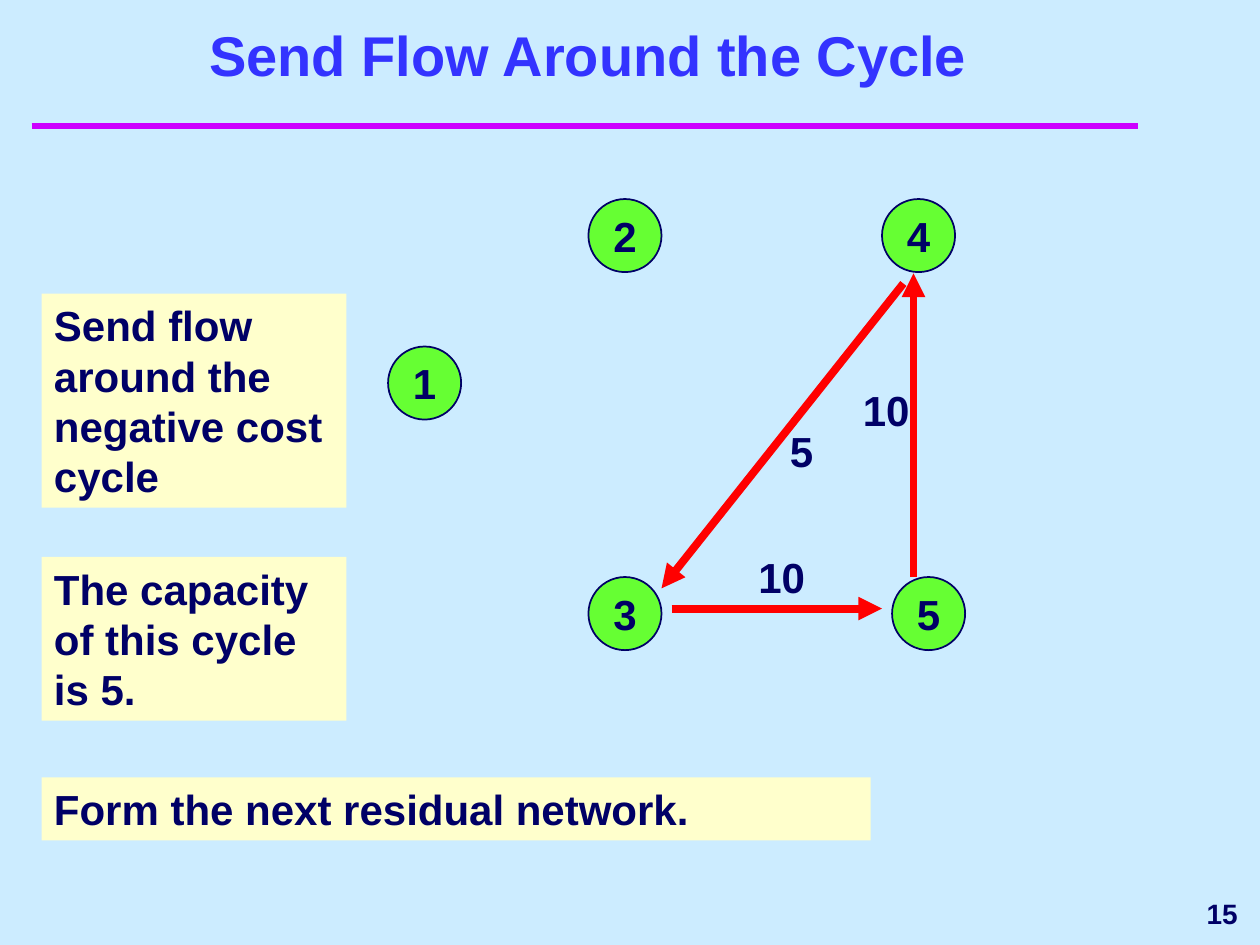
from lxml.etree import SubElement
from pptx import Presentation
from pptx.dml.color import RGBColor
from pptx.enum.shapes import MSO_CONNECTOR, MSO_SHAPE
from pptx.enum.text import MSO_ANCHOR, PP_ALIGN
from pptx.oxml.ns import qn
from pptx.util import Inches, Pt

NAVY, BLUE, PURPLE, RED = "000066", "3333FF", "CC00FF", "FF0000"
SKY, CREAM, GREEN = "CCECFF", "FFFFCC", "66FF33"
NODE_SIZE = 0.58
NOTE_LEFT = 0.33

TITLE = "Send Flow Around the Cycle"
PAGE_NUMBER = "15"
NOTES = [  # text, top, width, height
    ("Send flow around the negative cost cycle", 2.33, 2.42, 1.7),
    ("The capacity of this cycle is 5.", 4.42, 2.42, 1.3),
    ("Form the next residual network.", 6.17, 6.58, 0.5),
]
NODES = {  # left, top
    "1": (3.08, 2.75),
    "2": (4.67, 1.58),
    "4": (7, 1.58),
    "3": (4.67, 4.58),
    "5": (7.08, 4.58),
}
ARCS = [  # start, end, flow, label left, label top, label width
    ((5.33, 4.83), (7, 4.83), "10", 5.92, 4.33, 0.67),
    ((7.25, 4.58), (7.25, 2.17), "10", 6.75, 3, 1.17),
    ((7.17, 2.25), (5.25, 4.67), "5", 6.17, 3.33, 1.17),
]


def color(value):
    return RGBColor.from_string(value)


def write(box, text, size=24, ink=NAVY, align=PP_ALIGN.LEFT,
          anchor=MSO_ANCHOR.TOP, wrap=True):
    frame = box.text_frame
    frame.word_wrap = wrap
    frame.vertical_anchor = anchor
    frame.margin_left = frame.margin_right = Inches(0.1)
    frame.margin_top = frame.margin_bottom = Inches(0.05)
    para = frame.paragraphs[0]
    para.alignment = align
    span = para.add_run()
    span.text = text
    span.font.name = "Arial"
    span.font.size = Pt(size)
    span.font.bold = True
    span.font.color.rgb = color(ink)


def add_label(page, text, left, top, width, height=0.5, **style):
    box = page.shapes.add_textbox(*map(Inches, (left, top, width, height)))
    write(box, text, **style)


def add_filled(page, kind, area, fill, outline=None):
    shape = page.shapes.add_shape(kind, *map(Inches, area))
    shape.shadow.inherit = False
    shape.fill.solid()
    shape.fill.fore_color.rgb = color(fill)
    if outline:
        shape.line.color.rgb = color(outline)
        shape.line.width = Pt(1)
    else:
        shape.line.fill.background()
    return shape


def add_line(page, start, end, ink, width, arrow=False):
    line = page.shapes.add_connector(
        MSO_CONNECTOR.STRAIGHT, *map(Inches, (*start, *end)))
    line.line.color.rgb = color(ink)
    line.line.width = Pt(width)
    if arrow:
        SubElement(line.line._get_or_add_ln(), qn("a:tailEnd"), type="triangle")
    SubElement(line._element.spPr, qn("a:effectLst"))


def main():
    deck = Presentation()
    deck.slide_width, deck.slide_height = Inches(10), Inches(7.5)
    page = deck.slides.add_slide(deck.slide_layouts[5])
    page.background.fill.solid()
    page.background.fill.fore_color.rgb = color(SKY)

    title = page.shapes.title
    title.left, title.top, title.width, title.height = map(
        Inches, (0.42, 0.33, 8.5, 0.42))
    write(title, TITLE, size=32, ink=BLUE, align=PP_ALIGN.CENTER,
          anchor=MSO_ANCHOR.BOTTOM)
    add_line(page, (0.25, 1), (9.03, 1), PURPLE, 4)

    for text, top, width, height in NOTES:
        note = add_filled(page, MSO_SHAPE.RECTANGLE,
                          (NOTE_LEFT, top, width, height), CREAM)
        write(note, text)

    for name, (left, top) in NODES.items():
        node = add_filled(page, MSO_SHAPE.OVAL,
                          (left, top, NODE_SIZE, NODE_SIZE), GREEN, NAVY)
        write(node, name, align=PP_ALIGN.CENTER, anchor=MSO_ANCHOR.MIDDLE,
              wrap=False)

    for start, end, *_ in ARCS:
        add_line(page, start, end, RED, 4.5, arrow=True)
    for _, _, flow, left, top, width in ARCS:
        add_label(page, flow, left, top, width)

    add_label(page, PAGE_NUMBER, 8, 7, 1.92, size=16, align=PP_ALIGN.RIGHT,
              anchor=MSO_ANCHOR.MIDDLE)
    deck.save("out.pptx")


if __name__ == "__main__":
    main()
